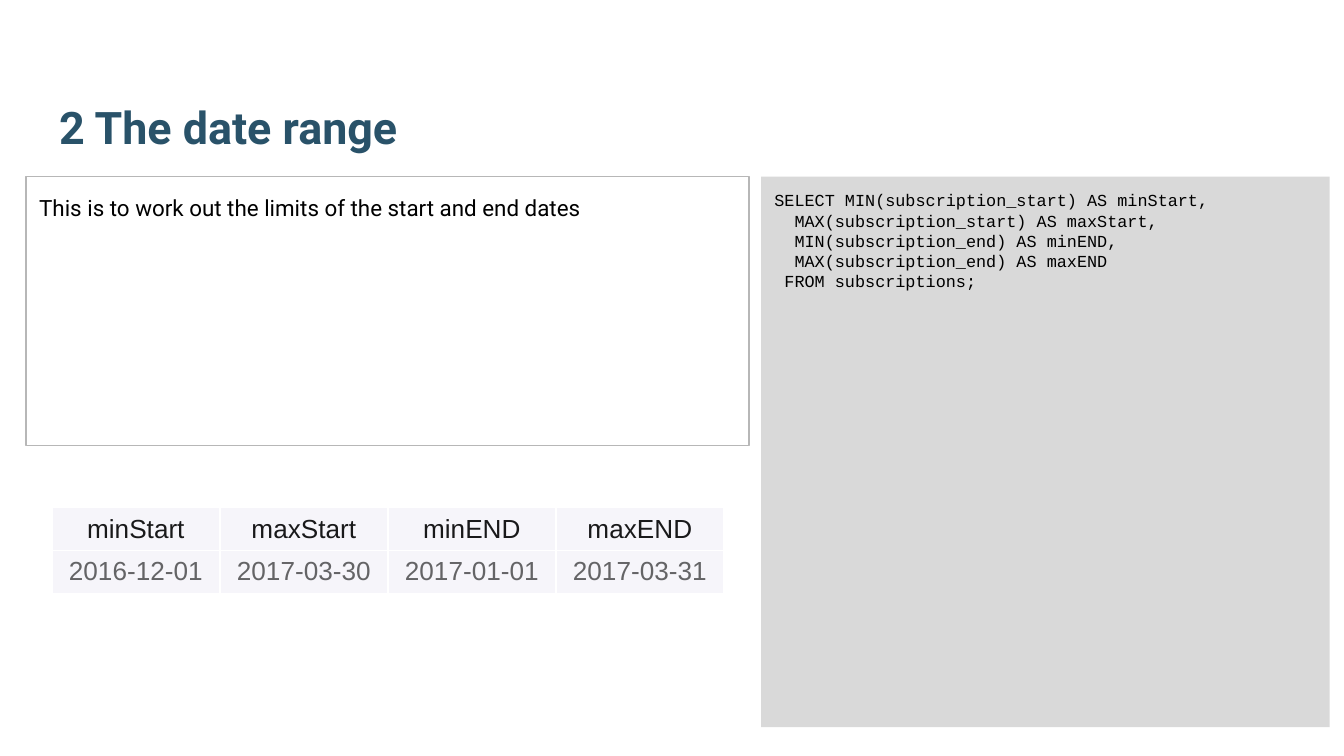
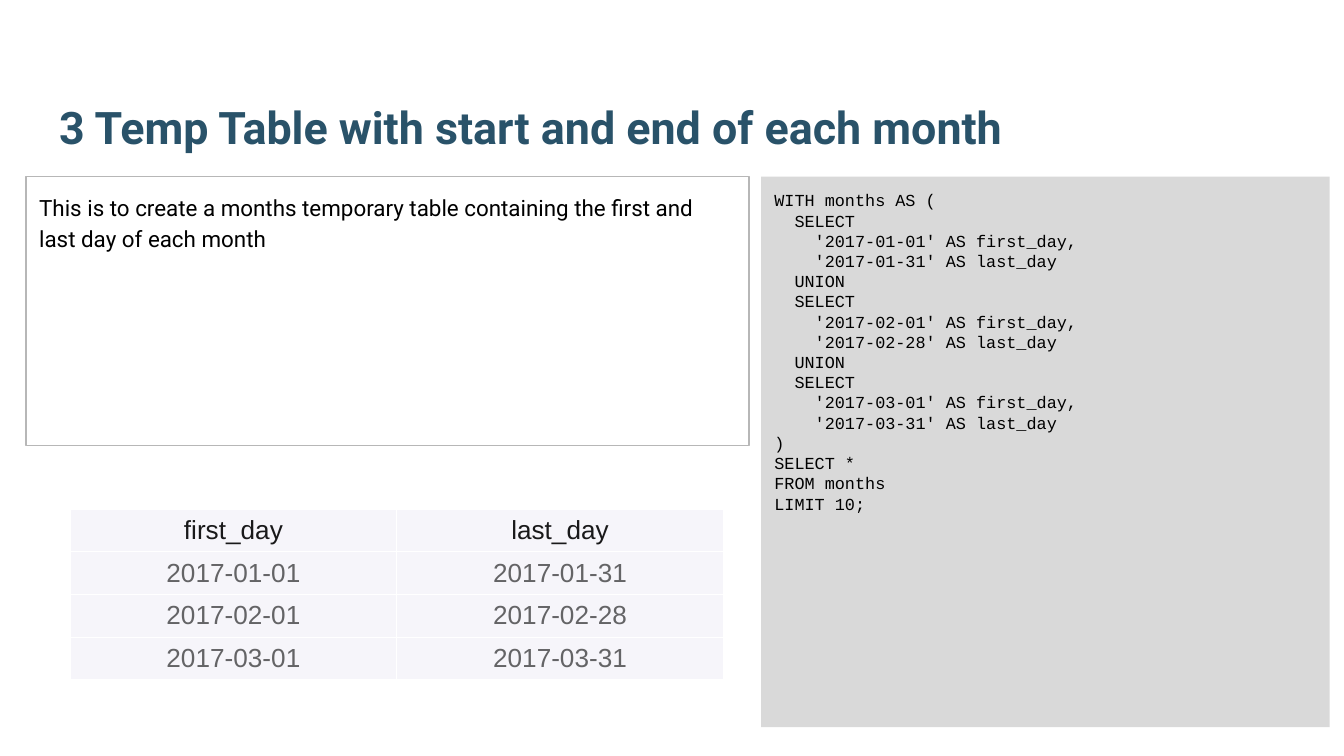
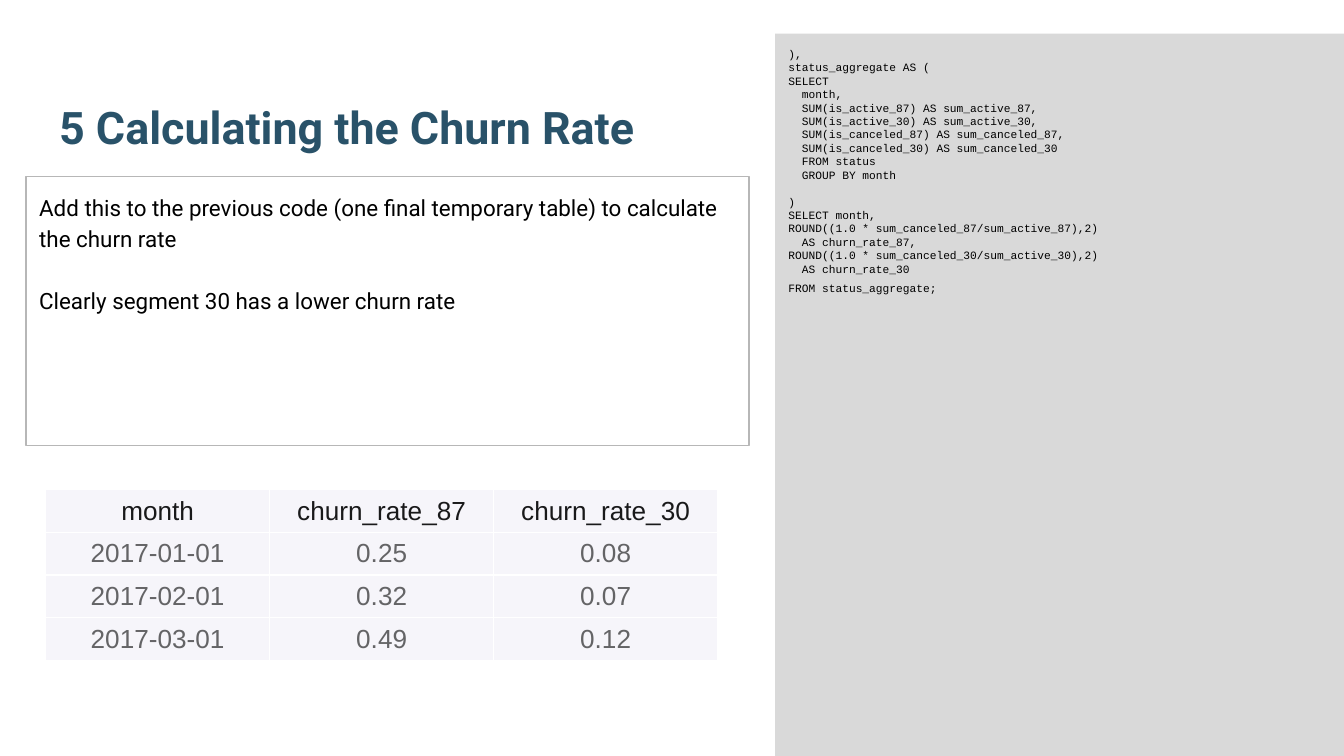
import pptx
import pptx.util
import pptx.dml.color
import pptx.enum.shapes
import pptx.enum.text
import pptx.oxml
import pptx.oxml.ns
from lxml import etree

Pt = pptx.util.Pt

COLORS = {
    "title": "295269",
    "text": "000000",
    "code_panel": "D9D9D9",
    "note_border": "B7B7B7",
    "cell": "F6F5FA",
    "cell_border": "FFFFFF",
    "table_header": "19191A",
    "table_value": "646466",
}
INSET = 7.2
ROW_HEIGHT = 22.9
TITLE_BOX = (24.5, 23, 671, 66.3)
NOTE_BOX = (13.9, 94.6, 387.4, 144.2)
CODE_BOX = (407.8, 94.6, 304.6, 295)
TALL_CODE_BOX = (415.3, 18, 304.7, 387)

DATE_RANGE_CODE = """SELECT MIN(subscription_start) AS minStart,
  MAX(subscription_start) AS maxStart,
  MIN(subscription_end) AS minEND,
  MAX(subscription_end) AS maxEND
 FROM subscriptions;"""

MONTHS_CODE = """WITH months AS (
  SELECT
    '2017-01-01' AS first_day,
    '2017-01-31' AS last_day
  UNION
  SELECT
    '2017-02-01' AS first_day,
    '2017-02-28' AS last_day
  UNION
  SELECT
    '2017-03-01' AS first_day,
    '2017-03-31' AS last_day
)
SELECT *
FROM months
LIMIT 10;"""

CHURN_CODE = """),
status_aggregate AS (
SELECT
  month,
  SUM(is_active_87) AS sum_active_87,
  SUM(is_active_30) AS sum_active_30,
  SUM(is_canceled_87) AS sum_canceled_87,
  SUM(is_canceled_30) AS sum_canceled_30
  FROM status
  GROUP BY month
)
SELECT month,
ROUND((1.0 * sum_canceled_87/sum_active_87),2)
  AS churn_rate_87,
ROUND((1.0 * sum_canceled_30/sum_active_30),2)
  AS churn_rate_30
FROM status_aggregate;"""


def rgb(name):
    return pptx.dml.color.RGBColor.from_string(COLORS[name])


def format_paragraph(paragraph, font_name, size, color, bold=False,
                     alignment=pptx.enum.text.PP_ALIGN.LEFT):
    paragraph.alignment = alignment
    for run in paragraph.runs:
        run.font.name = font_name
        run.font.size = Pt(size)
        run.font.bold = bold
        run.font.color.rgb = rgb(color)


def set_frame(text_frame, anchor):
    text_frame.word_wrap = True
    text_frame.auto_size = pptx.enum.text.MSO_AUTO_SIZE.NONE
    text_frame.vertical_anchor = anchor
    text_frame.margin_left = text_frame.margin_right = Pt(INSET)
    text_frame.margin_top = text_frame.margin_bottom = Pt(INSET)


def add_titled_slide(presentation, text):
    slide = presentation.slides.add_slide(presentation.slide_layouts[5])
    title = slide.shapes.title
    title.left, title.top, title.width, title.height = map(Pt, TITLE_BOX)
    set_frame(title.text_frame, pptx.enum.text.MSO_ANCHOR.BOTTOM)
    title.text_frame.text = text
    format_paragraph(title.text_frame.paragraphs[0], "Roboto", 24, "title", bold=True)
    return slide


def add_panel(slide, box, text):
    panel = slide.shapes.add_shape(
        pptx.enum.shapes.MSO_SHAPE.RECTANGLE, *map(Pt, box))
    panel.shadow.inherit = False
    set_frame(panel.text_frame, pptx.enum.text.MSO_ANCHOR.TOP)
    panel.text_frame.text = text
    return panel


def add_code(slide, box, code, size, gaps=None):
    panel = add_panel(slide, box, code)
    panel.fill.solid()
    panel.fill.fore_color.rgb = rgb("code_panel")
    panel.line.fill.background()
    for paragraph in panel.text_frame.paragraphs:
        format_paragraph(paragraph, "Courier New", size, "text")
        if gaps and paragraph.text in gaps:
            paragraph.space_before = Pt(gaps[paragraph.text])


def add_note(slide, text):
    panel = add_panel(slide, NOTE_BOX, text)
    panel.fill.background()
    panel.line.color.rgb = rgb("note_border")
    panel.line.width = Pt(0.75)
    for index, paragraph in enumerate(panel.text_frame.paragraphs):
        format_paragraph(paragraph, "Roboto", 12, "text")
        paragraph.line_spacing = 1.15
        if index:
            paragraph.space_before = Pt(16.6)


def add_cell_borders(cell):
    properties = cell._tc.get_or_add_tcPr()
    for index, side in enumerate(("lnL", "lnR", "lnT", "lnB")):
        line = etree.Element(pptx.oxml.ns.qn(f"a:{side}"), w=str(Pt(0.75)))
        fill = etree.SubElement(line, pptx.oxml.ns.qn("a:solidFill"))
        etree.SubElement(fill, pptx.oxml.ns.qn("a:srgbClr"), val=COLORS["cell_border"])
        properties.insert(index, line)


def add_result_table(slide, left, top, width, rows):
    column_count = len(rows[0])
    table = slide.shapes.add_table(
        len(rows), column_count, Pt(left), Pt(top), Pt(width),
        Pt(ROW_HEIGHT * len(rows))).table
    for column in table.columns:
        column.width = Pt(width / column_count)
    for row_index, values in enumerate(rows):
        table.rows[row_index].height = Pt(ROW_HEIGHT)
        color = "table_value" if row_index else "table_header"
        for column_index, value in enumerate(values):
            cell = table.cell(row_index, column_index)
            cell.text = value
            cell.vertical_anchor = pptx.enum.text.MSO_ANCHOR.MIDDLE
            cell.margin_top = cell.margin_bottom = Pt(3)
            cell.fill.solid()
            cell.fill.fore_color.rgb = rgb("cell")
            add_cell_borders(cell)
            format_paragraph(cell.text_frame.paragraphs[0], "Arial", 14, color,
                             alignment=pptx.enum.text.PP_ALIGN.CENTER)


def main():
    presentation = pptx.Presentation()
    presentation.slide_width = Pt(720)
    presentation.slide_height = Pt(405)

    slide = add_titled_slide(presentation, "2 The date range")
    add_code(slide, CODE_BOX, DATE_RANGE_CODE, 9)
    add_note(slide, "This is to work out the limits of the start and end dates")
    add_result_table(slide, 27.8, 272, 360, [
        ("minStart", "maxStart", "minEND", "maxEND"),
        ("2016-12-01", "2017-03-30", "2017-01-01", "2017-03-31"),
    ])

    slide = add_titled_slide(presentation, "3 Temp Table with start and end of each month")
    add_code(slide, CODE_BOX, MONTHS_CODE, 9)
    add_note(slide, "This is to create a months temporary table containing "
                    "the first and last day of each month")
    add_result_table(slide, 37.6, 272.7, 350, [
        ("first_day", "last_day"),
        ("2017-01-01", "2017-01-31"),
        ("2017-02-01", "2017-02-28"),
        ("2017-03-01", "2017-03-31"),
    ])

    slide = add_titled_slide(presentation, "5 Calculating the Churn Rate")
    add_code(slide, TALL_CODE_BOX, CHURN_CODE, 6,
             gaps={")": 7.2, "FROM status_aggregate;": 3})
    add_note(slide, "Add this to the previous code (one final temporary table) "
                    "to calculate the churn rate\n"
                    "Clearly segment 30 has a lower churn rate")
    add_result_table(slide, 24.5, 262.3, 360, [
        ("month", "churn_rate_87", "churn_rate_30"),
        ("2017-01-01", "0.25", "0.08"),
        ("2017-02-01", "0.32", "0.07"),
        ("2017-03-01", "0.49", "0.12"),
    ])

    presentation.save("out.pptx")


if __name__ == "__main__":
    main()
